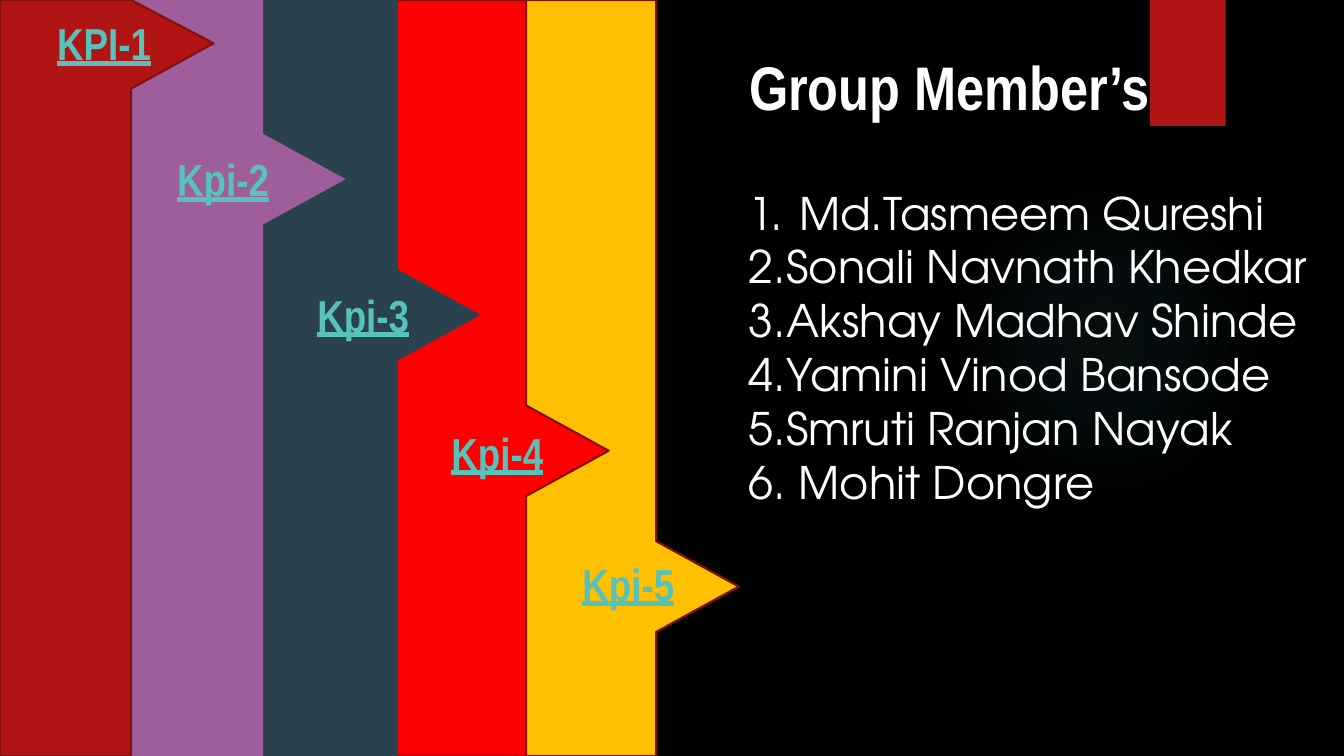
from pptx import Presentation
from pptx.dml.color import RGBColor
from pptx.enum.shapes import MSO_SHAPE
from pptx.enum.text import MSO_ANCHOR, PP_ALIGN
from pptx.oxml import parse_xml
from pptx.oxml.ns import nsdecls
from pptx.util import Pt

COLOURS = {
    "night": "000000", "white": "FFFFFF", "link": "58C1BA", "glow": "50B9C1",
    "crimson": "B01513", "edge": "82100E", "purple": "9E5E9B",
    "slate": "2A424D", "red": "FF0000", "amber": "FFC000",
}
FORMATS = {
    "title": {"name": "Arial Narrow", "size": Pt(44), "bold": True},
    "label": {"name": "Arial Narrow", "size": Pt(32), "bold": True, "underline": True},
    "member": {"name": "TeX Gyre Adventor", "size": Pt(32), "bold": False},
}
FRAME = {"word_wrap": True, "vertical_anchor": MSO_ANCHOR.TOP}
HEIGHT = 540
RIBBONS = [
    ("KPI-1", "crimson", True, 0, 93.6, (33.8, 7.9)),
    ("Kpi-2", "purple", False, 94.3, 187.9, (119.5, 105.1)),
    ("Kpi-3", "slate", False, 187.9, 284.4, (219.6, 201.6)),
    ("Kpi-4", "red", True, 281.5, 375.8, (315.4, 300.2)),
    ("Kpi-5", "amber", True, 375.1, 468.7, (409, 393.8)),
]
FIRST_TIP, TIP_STEP, TIP_HALF, TIP_REACH = 31, 97, 32.4, 59
MEMBERS = [
    " Md.Tasmeem Qureshi", "Sonali Navnath Khedkar", "Akshay Madhav Shinde",
    "Yamini Vinod Bansode", "5.Smruti Ranjan Nayak", "6. Mohit Dongre",
]
NUMBERED = 4


def colour(name):
    return RGBColor.from_string(COLOURS[name])


class SlideBuilder:
    def __init__(self, page):
        self.page = page
        fill = page.background.fill
        fill.solid()
        fill.fore_color.rgb = colour("night")

    def paint(self, shape, fill, edge=None):
        shape.shadow.inherit = False
        if fill:
            shape.fill.solid()
            shape.fill.fore_color.rgb = colour(fill)
        else:
            shape.fill.background()
        if edge:
            shape.line.color.rgb = colour(edge)
            shape.line.width = Pt(1.5)
        else:
            shape.line.fill.background()

    def preset(self, kind, place, fill=None):
        shape = self.page.shapes.add_shape(kind, *map(Pt, place))
        self.paint(shape, fill)
        return shape

    def glow(self, place):
        shape = self.preset(MSO_SHAPE.OVAL, place)
        stops = "".join(
            f'<a:gs pos="{spot * 1000}"><a:srgbClr val="{COLOURS["glow"]}">'
            f'<a:alpha val="{alpha * 1000}"/></a:srgbClr></a:gs>'
            for spot, alpha in ((0, 7), (36, 6), (69, 0))
        )
        gradient = parse_xml(
            f'<a:gradFill {nsdecls("a")}><a:gsLst>{stops}</a:gsLst><a:path path="circle">'
            '<a:fillToRect l="50000" t="50000" r="50000" b="50000"/></a:path></a:gradFill>'
        )
        properties = shape._element.spPr
        properties.replace(properties.find("{*}noFill"), gradient)

    def ribbon(self, left, right, tip, fill, edge):
        outline = [
            (left, 0), (right, 0), (right, max(0, tip - TIP_HALF)),
            (right + TIP_REACH, tip), (right, tip + TIP_HALF),
            (right, HEIGHT), (left, HEIGHT),
        ]
        points = [(Pt(x), Pt(y)) for x, y in outline]
        builder = self.page.shapes.build_freeform(*points[0])
        builder.add_line_segments(points[1:], close=True)
        self.paint(builder.convert_to_shape(), fill, edge)

    def fill_text(self, box, lines, style, ink):
        frame = box.text_frame
        for key, value in FRAME.items():
            setattr(frame, key, value)
        for index, line in enumerate(lines):
            para = frame.paragraphs[0] if index == 0 else frame.add_paragraph()
            para.alignment = PP_ALIGN.LEFT
            span = para.add_run()
            span.text = line
            for key, value in FORMATS[style].items():
                setattr(span.font, key, value)
            span.font.color.rgb = colour(ink)
        return frame

    def text(self, place, lines, style, ink):
        box = self.page.shapes.add_textbox(*map(Pt, place))
        return self.fill_text(box, lines, style, ink)

    def title(self, place, words):
        box = self.page.shapes.title
        for key, value in zip(("left", "top", "width", "height"), place):
            setattr(box, key, Pt(value))
        self.fill_text(box, [words], "title", "white")

    def number(self, para):
        properties = para._p.get_or_add_pPr()
        properties.set("marL", str(Pt(27)))
        properties.set("indent", str(-Pt(27)))
        properties.append(parse_xml(f'<a:buAutoNum {nsdecls("a")} type="arabicPeriod"/>'))


def main():
    deck = Presentation()
    deck.slide_width, deck.slide_height = Pt(960), Pt(HEIGHT)
    slide = SlideBuilder(deck.slides.add_slide(deck.slide_layouts[5]))

    slide.glow((677.5, 131.8, 221.8, 221.8))
    slide.preset(MSO_SHAPE.RECTANGLE, (821.5, 0, 54, 90), "crimson")

    for index, ribbon in reversed(list(enumerate(RIBBONS))):
        words, fill, edged, left, right, corner = ribbon
        tip = FIRST_TIP + index * TIP_STEP
        slide.ribbon(left, right, tip, fill, "edge" if edged else None)
        slide.text((*corner, 86, 46), [words], "label", "link")

    slide.title((527.8, 31, 398.2, 60.5), "Group Member’s")
    members = slide.text((527.8, 128.9, 416.2, 239.8), MEMBERS, "member", "white")
    for para in members.paragraphs[:NUMBERED]:
        slide.number(para)

    deck.save("out.pptx")


if __name__ == "__main__":
    main()
